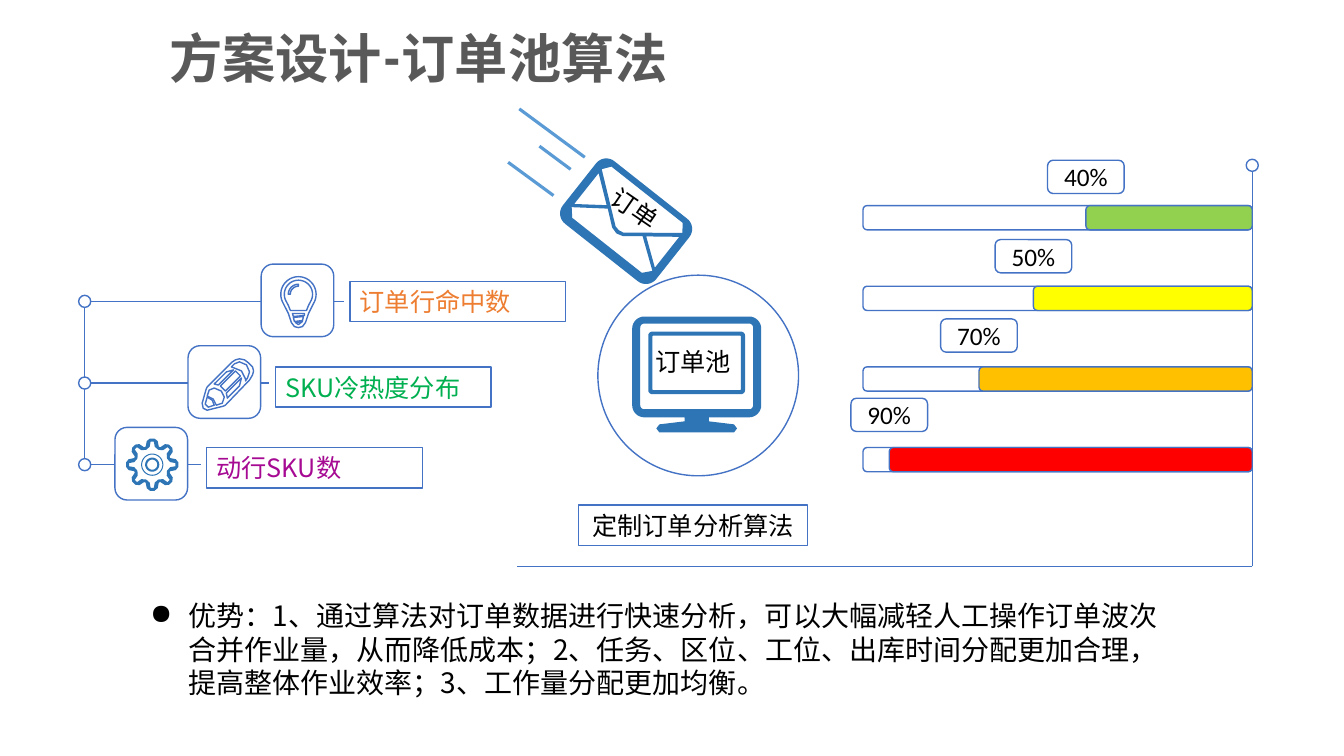
from math import cos, radians, sin

from lxml import etree
from pptx import Presentation
from pptx.dml.color import RGBColor
from pptx.enum.shapes import MSO_CONNECTOR, MSO_SHAPE
from pptx.enum.text import MSO_ANCHOR, PP_ALIGN
from pptx.oxml.ns import qn
from pptx.util import Inches, Pt

RECT, ROUND, OVAL = MSO_SHAPE.RECTANGLE, MSO_SHAPE.ROUNDED_RECTANGLE, MSO_SHAPE.OVAL
STRAIGHT = MSO_CONNECTOR.STRAIGHT
LEFT, CENTER = PP_ALIGN.LEFT, PP_ALIGN.CENTER
TOP, MIDDLE = MSO_ANCHOR.TOP, MSO_ANCHOR.MIDDLE
CJK = "Noto Sans CJK SC"
BLUE, ICON, WHITE, BLACK = "4472C4", "2E75B6", "FFFFFF", "000000"
NODE = 0.12
TILE = 0.72


def rgb(color):
    return RGBColor.from_string(color)


def paint(sp, fill, line=None):
    sp.shadow.inherit = False
    sp.fill.solid()
    sp.fill.fore_color.rgb = rgb(fill)
    if line:
        sp.line.color.rgb = rgb(line)
        sp.line.width = Pt(1)
    else:
        sp.line.fill.background()


def add_box(slide, kind, x, y, w, h, fill=WHITE):
    sp = slide.shapes.add_shape(kind, Inches(x), Inches(y), Inches(w), Inches(h))
    paint(sp, fill, BLUE)
    return sp


def add_line(slide, x1, y1, x2, y2, color=BLUE, width=1):
    line = slide.shapes.add_connector(STRAIGHT, Inches(x1), Inches(y1), Inches(x2), Inches(y2))
    line.line.color.rgb = rgb(color)
    line.line.width = Pt(width)
    etree.SubElement(line._element.spPr, qn("a:effectLst"))


def add_node(slide, cx, cy):
    add_box(slide, OVAL, cx - NODE / 2, cy - NODE / 2, NODE, NODE)


def set_text(sp, text, size=18, color=BLACK, font=CJK, bold=False,
             align=LEFT, anchor=TOP, wrap=True, bullet=None):
    tf = sp.text_frame
    tf.text = text
    tf.word_wrap = wrap
    tf.vertical_anchor = anchor
    p = tf.paragraphs[0]
    p.alignment = align
    p.line_spacing = Pt(size * 1.2)
    if bullet:
        pPr = p._p.get_or_add_pPr()
        pPr.set("marL", str(Inches(0.38)))
        pPr.set("indent", str(-Inches(0.38)))
        etree.SubElement(pPr, qn("a:buChar")).set("char", bullet)
    r = p.runs[0]
    r.font.size = Pt(size)
    r.font.bold = bold
    r.font.name = font
    r.font.color.rgb = rgb(color)
    etree.SubElement(r._r.get_or_add_rPr(), qn("a:ea")).set("typeface", CJK)


def add_text(slide, x, y, w, h, text, **style):
    sp = slide.shapes.add_textbox(Inches(x), Inches(y), Inches(w), Inches(h))
    set_text(sp, text, **style)
    return sp


def arc(cx, cy, r, start=0, end=360, steps=40):
    angles = [radians(start + (end - start) * i / steps) for i in range(steps + 1)]
    return [(cx + r * cos(a), cy + r * sin(a)) for a in angles]


def rounded(x, y, w, h, r):
    corners = [(x + w - r, y + h - r), (x + r, y + h - r), (x + r, y + r), (x + w - r, y + r)]
    return [pt for i, (cx, cy) in enumerate(corners)
            for pt in arc(cx, cy, r, 90 * i, 90 * i + 90, 8)]


def mirrored(points):
    return [(-x, y) for x, y in points]


def add_outline(slide, cx, cy, contours, fill=ICON, line=None):
    """Draw contours, given in inches around (cx, cy), as one shape; inner ones are holes."""
    scaled = [[(Inches(cx + x), Inches(cy + y)) for x, y in c] for c in contours]
    fb = slide.shapes.build_freeform(*scaled[0][0])
    fb.add_line_segments(scaled[0][1:])
    for contour in scaled[1:]:
        fb.move_to(*contour[0])
        fb.add_line_segments(contour[1:])
    sp = fb.convert_to_shape()
    paint(sp, fill, line)
    return sp


def add_bulb(slide, cx, cy):
    glass = arc(0, -0.07, 0.175, 150, 390) + [
        (0.1, 0.12), (0.07, 0.21), (0.04, 0.25), (0, 0.26), (-0.04, 0.25), (-0.07, 0.21), (-0.1, 0.12)]
    inside = arc(0, -0.07, 0.14, 150, 390) + [(0.1, 0.04), (0.08, 0.09), (-0.08, 0.09), (-0.1, 0.04)]
    bands = [[(-0.06, 0.12), (0.06, 0.12), (0.06, 0.14), (-0.05, 0.15)],
             [(-0.05, 0.16), (0.05, 0.15), (0.04, 0.19), (-0.04, 0.2)],
             [(-0.03, 0.21), (0.04, 0.2), (0, 0.23)]]
    contours = [c + c[:1] for c in [glass, inside] + bands]
    add_outline(slide, cx, cy, contours, WHITE, BLUE)
    glint = arc(0, -0.07, 0.1, 180, 270, 10) + arc(0, -0.07, 0.08, 270, 180, 10)
    add_outline(slide, cx, cy, [glint + glint[:1]], WHITE, BLUE)


def add_pencil(slide, cx, cy):
    body = [(0.24, -0.03), (0.27, -0.08), (0.28, -0.12), (0.27, -0.16), (0.23, -0.2), (0.19, -0.23),
            (0.14, -0.24), (0.1, -0.23), (0.07, -0.21), (-0.18, 0.04), (-0.19, 0.06),
            (-0.23, 0.2), (-0.22, 0.25), (-0.18, 0.27), (-0.02, 0.23), (0, 0.22)]
    eraser = [(0.22, -0.05), (0.2, -0.02), (0.2, -0.04), (0.16, -0.12), (0.06, -0.16),
              (0.09, -0.19), (0.14, -0.21), (0.21, -0.18), (0.24, -0.11)]
    wood = [(-0.09, 0.22), (-0.12, 0.16), (-0.18, 0.13), (-0.16, 0.07), (-0.11, 0.05),
            (-0.04, 0.08), (-0.01, 0.14), (-0.03, 0.2)]
    lead = [(-0.17, 0.24), (-0.2, 0.21), (-0.18, 0.14), (-0.13, 0.17), (-0.11, 0.22)]
    stripes = [[(-0.07, 0.02), (-0.11, 0.01), (0.01, -0.11), (0.08, -0.13)],
               [(0, 0.08), (-0.05, 0.03), (0.1, -0.12), (0.15, -0.07)],
               [(0.02, 0.15), (0.01, 0.1), (0.16, -0.05), (0.14, 0.03)]]
    contours = [c + c[:1] for c in [body, eraser, wood, lead] + stripes]
    add_outline(slide, cx, cy, contours, WHITE, BLUE)


def add_gear(slide, cx, cy):
    def teeth(half_tooth):
        profile = [(r, -a) for r, a in half_tooth] + half_tooth[::-1]
        points = [(r * cos(radians(45 * i + a)), r * sin(radians(45 * i + a)))
                  for i in range(8) for r, a in profile]
        return points + points[:1]

    rim = [teeth([(0.19, 20), (0.24, 13), (0.26, 5)]), teeth([(0.16, 21), (0.18, 8), (0.23, 4)])]
    add_outline(slide, cx, cy, rim)
    for outer, inner in ((0.11, 0.1), (0.07, 0.05)):
        add_outline(slide, cx, cy, [arc(0, 0, outer), arc(0, 0, inner)])


def add_factors(slide, x, y):
    """Tree of order factors, with its first node centred on (x, y)."""
    step = 0.81
    rows = [(add_bulb, "订单行命中数", "ED7D31", 2.63, -0.2),
            (add_pencil, "SKU冷热度分布", "00B050", 1.89, -0.16),
            (add_gear, "动行SKU数", "A60A93", 1.21, -0.17)]
    for i, (add_icon, text, color, label_x, label_y) in enumerate(rows):
        cy = y + step * i
        if i:
            add_line(slide, x, cy - NODE / 2, x, cy - step + NODE / 2)
        add_node(slide, x, cy)
        add_line(slide, x + NODE / 2, cy, x + label_x - 0.06, cy)
        tile_x = x + 1.75 - 0.725 * i
        add_box(slide, ROUND, tile_x, cy - TILE / 2 - 0.01, TILE, TILE)
        add_icon(slide, tile_x + TILE / 2 + 0.01, cy)
        label = add_box(slide, RECT, x + label_x, cy + label_y, 2.14, 0.4)
        set_text(label, text, color=color)


def add_bars(slide, x, y, w):
    h = 0.24
    rows = [("40%", 1.65, "92D050"), ("50%", 2.17, "FFFF00"),
            ("70%", 2.71, "FFC000"), ("90%", 3.6, "FF0000")]
    for i, (text, filled, color) in enumerate(rows):
        bar_y = y + 0.8 * i
        add_box(slide, ROUND, x, bar_y, w, h)
        add_box(slide, ROUND, x + w - filled, bar_y, filled, h, color)
        tag = add_box(slide, ROUND, x + w - filled - 0.38, y - 0.45 + 0.787 * i, 0.76, 0.33)
        set_text(tag, text, font="Calibri", align=CENTER, anchor=MIDDLE)
    right = x + w
    add_line(slide, 5.13, 5.62, right, 5.62)
    add_line(slide, right, 5.62, right, y - 0.36)
    add_node(slide, right, y - 0.4)


def add_pool(slide, cx, cy):
    """Order pool: a monitor in a circle centred on (cx, cy), with a caption below."""
    add_box(slide, OVAL, cx - 0.99, cy - 0.99, 1.99, 1.99)
    caption = add_box(slide, RECT, cx - 1.18, cy + 1.29, 2.27, 0.4)
    set_text(caption, "定制订单分析算法", align=CENTER, wrap=False)
    add_text(slide, cx - 0.52, cy - 0.33, 0.96, 0.4, "订单池", wrap=False)
    screen = [rounded(-0.48, -0.31, 0.96, 0.62, 0.04), rounded(-0.44, -0.27, 0.88, 0.54, 0.01)]
    add_outline(slide, cx - 0.01, cy - 0.12, [c + c[:1] for c in screen])
    half_stand = [(0.12, 0.42), (0.12, 0.46), (0.37, 0.49), (0.4, 0.53), (0.37, 0.57)]
    stand = half_stand + mirrored(half_stand[::-1])
    case = [rounded(-0.64, -0.58, 1.28, 1, 0.12), rounded(-0.56, -0.51, 1.12, 0.85, 0.04), stand]
    add_outline(slide, cx - 0.01, cy, [c + c[:1] for c in case])


def add_envelope(slide, cx, cy):
    """Flying order: a tilted envelope centred on (cx, cy) with speed lines."""
    flap = [(-0.51, -0.25), (-0.45, -0.33), (0.45, -0.33), (0.51, -0.25),
            (0.05, 0.11), (0, 0.12), (-0.05, 0.11)]
    side = [(0.51, 0.19), (0.25, 0), (0.51, -0.2)]
    half_front = [(0.07, 0.14), (0.22, 0.02), (0.51, 0.23), (0.44, 0.31)]
    front = [(0, 0.16)] + half_front + mirrored(half_front[::-1])
    contours = [rounded(-0.59, -0.39, 1.18, 0.79, 0.13), flap, side, mirrored(side), front]
    sp = add_outline(slide, cx, cy, [c + c[:1] for c in contours])
    sp.rotation = 38.3
    label = add_text(slide, cx - 0.26, cy - 0.32, 0.71, 0.4, "订单", wrap=False)
    label.rotation = 34.4
    for x, y, dx, dy in ((-1.17, -0.58, 0.45, 0.33), (-0.86, -0.74, 0.31, 0.23), (-1.06, -1.11, 0.65, 0.48)):
        add_line(slide, cx + x, cy + y, cx + x + dx, cy + y + dy, "5B9BD5", 2.25)


def main():
    prs = Presentation()
    prs.slide_width, prs.slide_height = Inches(13.33), Inches(7.5)
    slide = prs.slides.add_slide(prs.slide_layouts[6])
    add_text(slide, 1.58, 0.2, 7.65, 0.74, "方案设计-订单池算法",
             size=38, color="595959", font="Roboto Condensed", bold=True)
    add_factors(slide, 0.84, 2.99)
    add_pool(slide, 6.92, 3.72)
    add_bars(slide, 8.56, 2.04, 3.86)
    add_envelope(slide, 6.21, 2.19)
    add_text(slide, 1.39, 5.89, 10.43, 1.11,
             "优势：1、通过算法对订单数据进行快速分析，可以大幅减轻人工操作订单波次合并作业量，从而降低成本；"
             "2、任务、区位、工位、出库时间分配更加合理，提高整体作业效率；3、工作量分配更加均衡。",
             size=20, bullet="●")
    prs.save("out.pptx")


if __name__ == "__main__":
    main()
